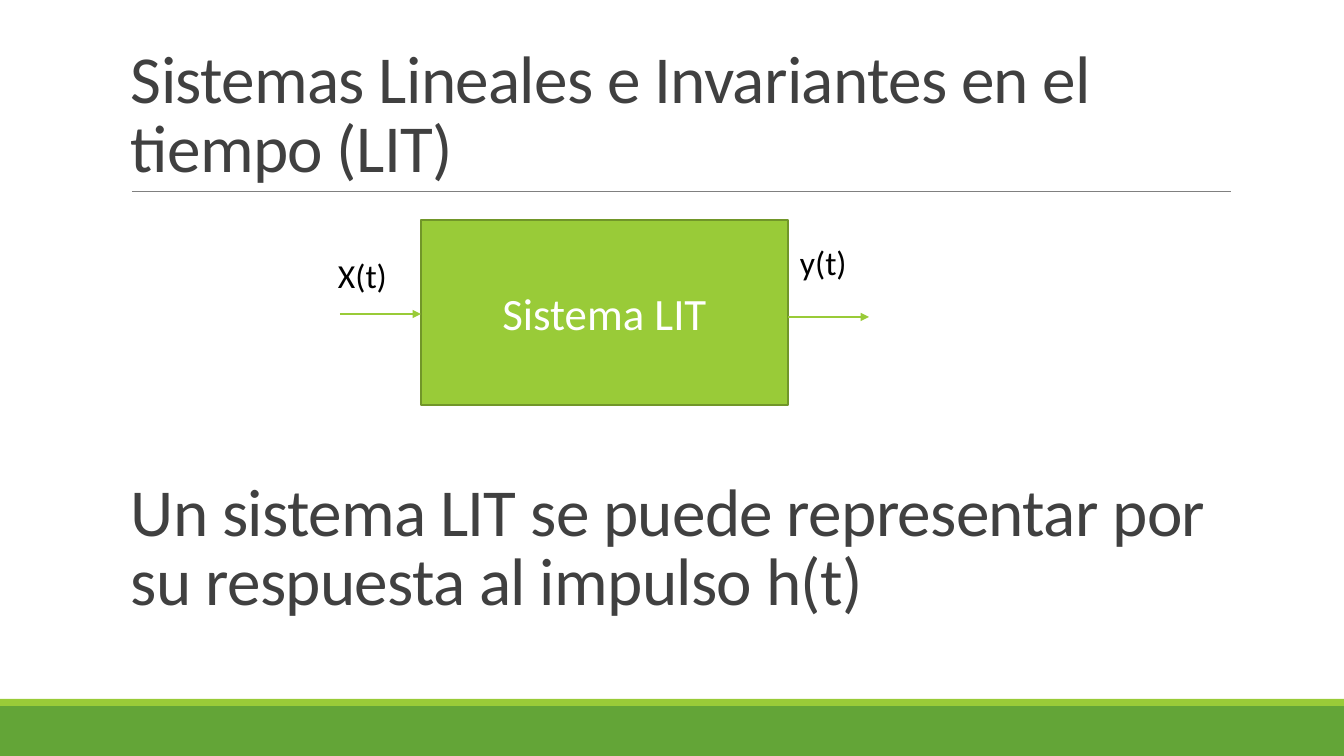
from pptx import Presentation
from pptx.dml.color import RGBColor
from pptx.enum.shapes import MSO_CONNECTOR, MSO_SHAPE
from pptx.enum.text import MSO_ANCHOR, MSO_AUTO_SIZE, PP_ALIGN
from pptx.oxml.ns import qn
from pptx.util import Pt
from lxml import etree

RECTANGLE = MSO_SHAPE.RECTANGLE
STRAIGHT = MSO_CONNECTOR.STRAIGHT
TOP, MIDDLE, BOTTOM = MSO_ANCHOR.TOP, MSO_ANCHOR.MIDDLE, MSO_ANCHOR.BOTTOM
CENTER = PP_ALIGN.CENTER
FIT_SHAPE = MSO_AUTO_SIZE.SHAPE_TO_FIT_TEXT

WHITE = RGBColor(0xFF, 0xFF, 0xFF)
BLACK = RGBColor(0x00, 0x00, 0x00)
CHARCOAL = RGBColor(0x40, 0x40, 0x40)
GRAY = RGBColor(0x80, 0x80, 0x80)
LIME = RGBColor(0x99, 0xCB, 0x38)
OLIVE = RGBColor(0x71, 0x96, 0x29)
GREEN = RGBColor(0x63, 0xA5, 0x37)

WIDTH, HEIGHT = 1344, 756


class SlideBuilder:
    """Draws styled elements on one slide, with lengths in px."""

    FONT = "Calibri"
    EMU_PER_PX = 914400 / 100.8

    def __init__(self, deck):
        deck.slide_width, deck.slide_height = self.emu(WIDTH, HEIGHT)
        self.slide = deck.slides.add_slide(deck.slide_layouts[6])

    def emu(self, *lengths):
        return [round(length * self.EMU_PER_PX) for length in lengths]

    def add_text(self, frame, text, size, color, anchor):
        frame.vertical_anchor = anchor
        paragraph = frame.paragraphs[0]
        run = paragraph.add_run()
        run.text = text
        run.font.name = self.FONT
        run.font.size = Pt(size)
        run.font.color.rgb = color
        return paragraph, run

    def block(self, box, fill, border=None):
        block = self.slide.shapes.add_shape(RECTANGLE, *self.emu(*box))
        block.shadow.inherit = False
        block.fill.solid()
        block.fill.fore_color.rgb = fill
        if border is None:
            block.line.fill.background()
        else:
            block.line.color.rgb = border
            block.line.width = Pt(1.25)
        return block

    def system(self, box, text):
        frame = self.block(box, LIME, OLIVE).text_frame
        frame.word_wrap = True
        paragraph, _ = self.add_text(frame, text, 32, WHITE, MIDDLE)
        paragraph.alignment = CENTER

    def text_box(self, box, wrap):
        frame = self.slide.shapes.add_textbox(*self.emu(*box)).text_frame
        frame.word_wrap = wrap
        return frame

    def statement(self, box, text):
        frame = self.text_box(box, True)
        paragraph, run = self.add_text(frame, text, 48, CHARCOAL, BOTTOM)
        paragraph.line_spacing = 0.85
        run.font._element.set("spc", "-50")

    def signal(self, box, text, wrap):
        frame = self.text_box(box, wrap)
        frame.auto_size = FIT_SHAPE
        self.add_text(frame, text, 24, BLACK, TOP)

    def rule(self, left, right, y, color, width):
        rule = self.slide.shapes.add_connector(STRAIGHT, *self.emu(left, y, right, y))
        rule.line.color.rgb = color
        rule.line.width = Pt(width)
        etree.SubElement(rule._element.spPr, qn("a:effectLst"))
        return rule

    def arrow(self, left, right, y):
        outline = self.rule(left, right, y, LIME, 1)._element.spPr.find(qn("a:ln"))
        etree.SubElement(outline, qn("a:tailEnd"), type="triangle")


def main():
    deck = Presentation()
    builder = SlideBuilder(deck)

    builder.block((0, 706, WIDTH, 50), GREEN)
    builder.block((0, 699, WIDTH, 7), LIME)
    builder.rule(132, 1231, 191, GRAY, 0.5)
    builder.statement((121, 31, 1109, 160),
                      "Sistemas Lineales e Invariantes en el tiempo (LIT)")

    system_left, system_width, arrow_length = 421, 367, 81
    system_right = system_left + system_width
    builder.system((system_left, 220, system_width, 185), "Sistema LIT")
    builder.arrow(system_left - arrow_length, system_left, 314)
    builder.arrow(system_right, system_right + arrow_length, 317)
    builder.signal((328, 250, 160, 50), "X(t)", True)
    builder.signal((790, 237, 68, 50), "y(t)", False)

    builder.statement((121, 464, 1109, 160),
                      "Un sistema LIT se puede representar por su respuesta al impulso h(t)")
    deck.save("out.pptx")


if __name__ == "__main__":
    main()
